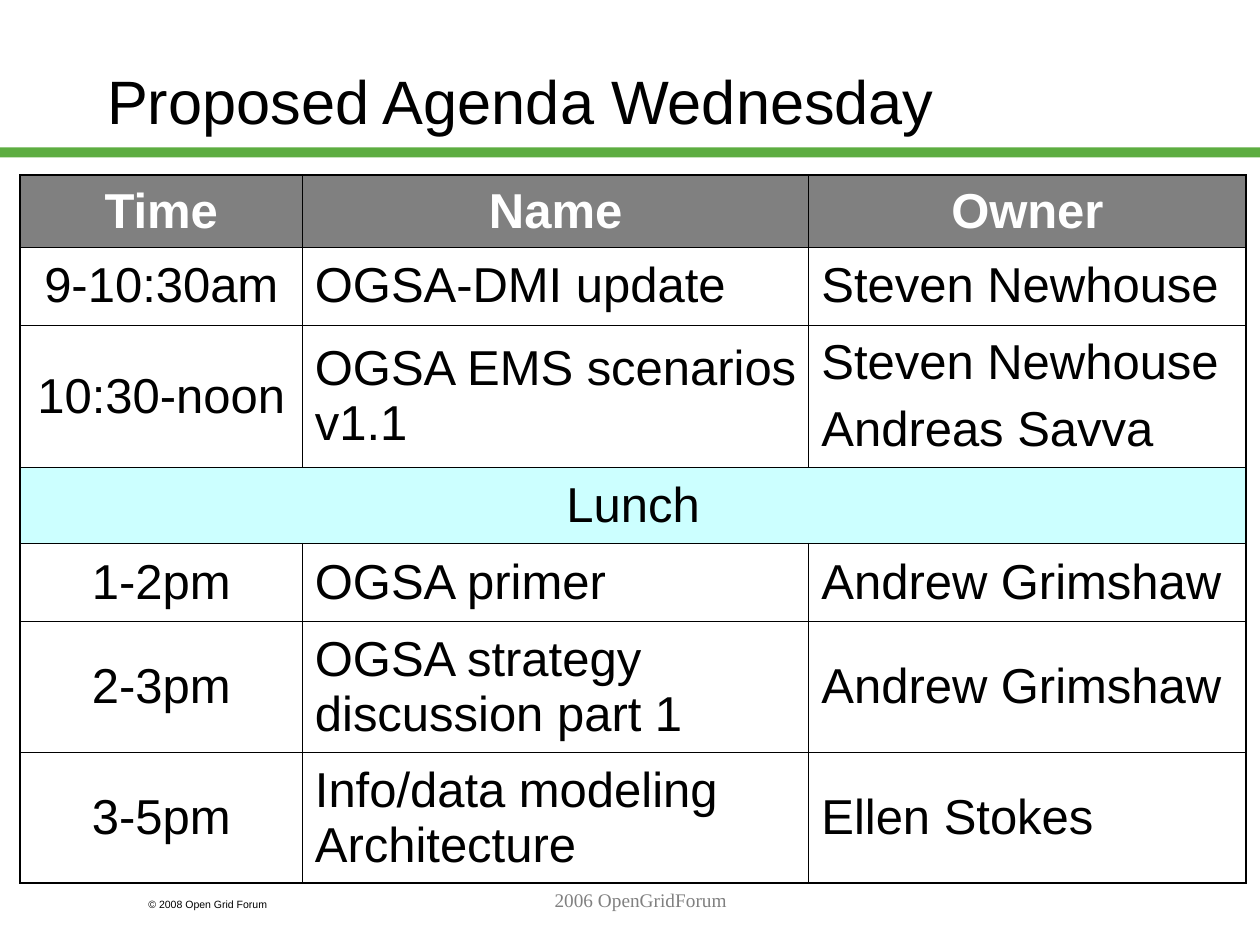
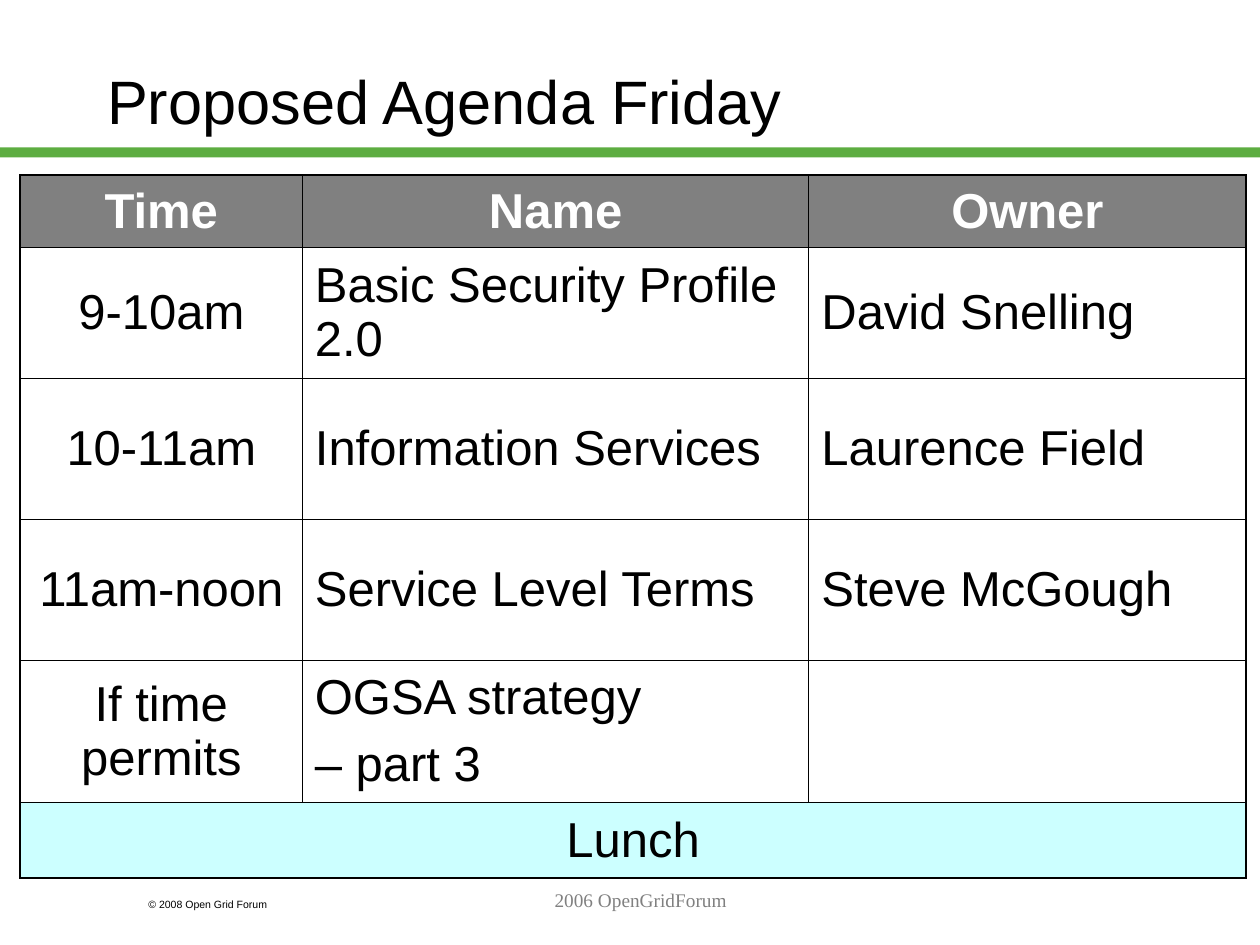
from dataclasses import dataclass

from lxml.etree import SubElement
from pptx import Presentation
from pptx.dml.color import RGBColor
from pptx.enum.shapes import MSO_SHAPE
from pptx.enum.text import MSO_ANCHOR, PP_ALIGN
from pptx.oxml.ns import qn
from pptx.util import Emu, Pt

TITLE_ONLY = 5
EMU_PER_PX = 9144  # 100 px to the inch


@dataclass(frozen=True)
class TextStyle:
    size: float
    color: RGBColor
    font: str = "Arial"
    bold: bool = False
    align: PP_ALIGN = PP_ALIGN.LEFT


@dataclass(frozen=True)
class Theme:
    black = RGBColor(0, 0, 0)
    white = RGBColor(255, 255, 255)
    grey = RGBColor(0x80, 0x80, 0x80)
    green = RGBColor(0x5D, 0xAD, 0x41)
    aqua = RGBColor(0xCC, 0xFF, 0xFF)
    title = TextStyle(35, black)
    heading = TextStyle(28, white, bold=True, align=PP_ALIGN.CENTER)
    entry = TextStyle(28, black)
    centred_entry = TextStyle(28, black, align=PP_ALIGN.CENTER)
    copyright = TextStyle(6, black)
    footer = TextStyle(11, grey, "Times New Roman", align=PP_ALIGN.CENTER)
    paragraph_gap = Pt(7)
    outer_line = Pt(1.08)
    inner_line = Pt(0.45)


THEME = Theme()


@dataclass(frozen=True)
class Box:
    left: int
    top: int
    width: int
    height: int

    def emu(self) -> tuple[Emu, Emu, Emu, Emu]:
        return px(self.left), px(self.top), px(self.width), px(self.height)


@dataclass(frozen=True)
class Row:
    """An agenda row; a single text spans all columns."""
    height: int
    texts: tuple[str, ...]


@dataclass(frozen=True)
class Agenda:
    day: str
    rows: tuple[Row, ...]


BAND = Box(0, 117, 1000, 8)
TITLE = Box(75, 17, 850, 125)
COPYRIGHT = Box(108, 708, 150, 20)
FOOTER = Box(217, 700, 583, 50)
TABLE_LEFT, TABLE_TOP = 16, 139
COLUMN_WIDTHS = (224, 402, 347)
MARGIN_X, MARGIN_Y = 10, 5

HEADER = Row(57, ("Time", "Name", "Owner"))
LUNCH = Row(60, ("Lunch",))
AGENDAS = (
    Agenda("Wednesday", (
        HEADER,
        Row(62, ("9-10:30am", "OGSA-DMI update", "Steven Newhouse")),
        Row(113, ("10:30-noon", "OGSA EMS scenarios v1.1",
                  "Steven Newhouse\nAndreas Savva")),
        LUNCH,
        Row(62, ("1-2pm", "OGSA primer", "Andrew Grimshaw")),
        Row(104, ("2-3pm", "OGSA strategy discussion part 1", "Andrew Grimshaw")),
        Row(104, ("3-5pm", "Info/data modeling Architecture", "Ellen Stokes")),
    )),
    Agenda("Friday", (
        HEADER,
        Row(104, ("9-10am", "Basic Security Profile 2.0", "David Snelling")),
        Row(112, ("10-11am", "Information Services", "Laurence Field")),
        Row(112, ("11am-noon", "Service Level Terms", "Steve McGough")),
        Row(113, ("If time permits", "OGSA strategy\n– part 3", "")),
        LUNCH,
    )),
)


def px(length: int) -> Emu:
    return Emu(length * EMU_PER_PX)


def set_margins(target) -> None:
    target.margin_left = target.margin_right = px(MARGIN_X)
    target.margin_top = target.margin_bottom = px(MARGIN_Y)


def write(frame, text: str, style: TextStyle) -> None:
    """Write one paragraph per line of text."""
    frame.word_wrap = True
    for index, line in enumerate(text.split("\n")):
        para = frame.add_paragraph() if index else frame.paragraphs[0]
        para.alignment = style.align
        para.space_before = THEME.paragraph_gap if index else Pt(0)
        span = para.add_run()
        span.text = line
        span.font.name = style.font
        span.font.size = Pt(style.size)
        span.font.bold = style.bold
        span.font.color.rgb = style.color


def add_title(page, text: str) -> None:
    title = page.shapes.title
    title.left, title.top, title.width, title.height = TITLE.emu()
    set_margins(title.text_frame)
    title.text_frame.vertical_anchor = MSO_ANCHOR.MIDDLE
    write(title.text_frame, text, THEME.title)


def add_band(page) -> None:
    band = page.shapes.add_shape(MSO_SHAPE.RECTANGLE, *BAND.emu())
    band.shadow.inherit = False
    band.fill.solid()
    band.fill.fore_color.rgb = THEME.green
    band.line.fill.background()


def add_text(page, box: Box, text: str, style: TextStyle) -> None:
    frame = page.shapes.add_textbox(*box.emu()).text_frame
    set_margins(frame)
    write(frame, text, style)


def set_borders(cell, outer_sides: dict[str, bool]) -> None:
    """Draw all four borders, thicker on the outer sides of the table."""
    properties = cell._tc.get_or_add_tcPr()
    for side, is_outer in outer_sides.items():
        width = THEME.outer_line if is_outer else THEME.inner_line
        line = SubElement(properties, qn(f"a:ln{side}"), w=str(int(width)))
        fill = SubElement(line, qn("a:solidFill"))
        SubElement(fill, qn("a:srgbClr"), val=str(THEME.black))


def set_fill(cell, color: RGBColor | None) -> None:
    if color is None:
        cell.fill.background()
    else:
        cell.fill.solid()
        cell.fill.fore_color.rgb = color


def row_fill(row: Row) -> RGBColor | None:
    if row is HEADER:
        return THEME.grey
    return THEME.aqua if len(row.texts) == 1 else None


def cell_style(row: Row, column: int) -> TextStyle:
    if row is HEADER:
        return THEME.heading
    return THEME.entry if column else THEME.centred_entry


def add_agenda_table(page, rows: tuple[Row, ...]) -> None:
    box = Box(TABLE_LEFT, TABLE_TOP, sum(COLUMN_WIDTHS),
              sum(row.height for row in rows))
    last_row, last_column = len(rows) - 1, len(COLUMN_WIDTHS) - 1
    table = page.shapes.add_table(len(rows), len(COLUMN_WIDTHS), *box.emu()).table
    table.first_row = table.horz_banding = False
    for column, width in zip(table.columns, COLUMN_WIDTHS):
        column.width = px(width)
    for r, row in enumerate(rows):
        table.rows[r].height = px(row.height)
        spans_all = len(row.texts) == 1
        if spans_all:
            table.cell(r, 0).merge(table.cell(r, last_column))
        for c in range(len(COLUMN_WIDTHS)):
            cell = table.cell(r, c)
            set_margins(cell)
            cell.vertical_anchor = MSO_ANCHOR.MIDDLE
            set_borders(cell, {"L": c == 0 or spans_all,
                               "R": c == last_column or spans_all,
                               "T": r == 0, "B": r == last_row})
            set_fill(cell, row_fill(row))
            if c < len(row.texts) and row.texts[c]:
                write(cell.text_frame, row.texts[c], cell_style(row, c))


def add_agenda_page(deck, agenda: Agenda) -> None:
    page = deck.slides.add_slide(deck.slide_layouts[TITLE_ONLY])
    add_band(page)
    add_text(page, COPYRIGHT, "© 2008 Open Grid Forum", THEME.copyright)
    add_title(page, f"Proposed Agenda {agenda.day}")
    add_agenda_table(page, agenda.rows)
    add_text(page, FOOTER, "2006 OpenGridForum", THEME.footer)


def main() -> None:
    deck = Presentation()
    deck.slide_width, deck.slide_height = px(1000), px(750)
    for agenda in AGENDAS:
        add_agenda_page(deck, agenda)
    deck.save("out.pptx")


if __name__ == "__main__":
    main()
